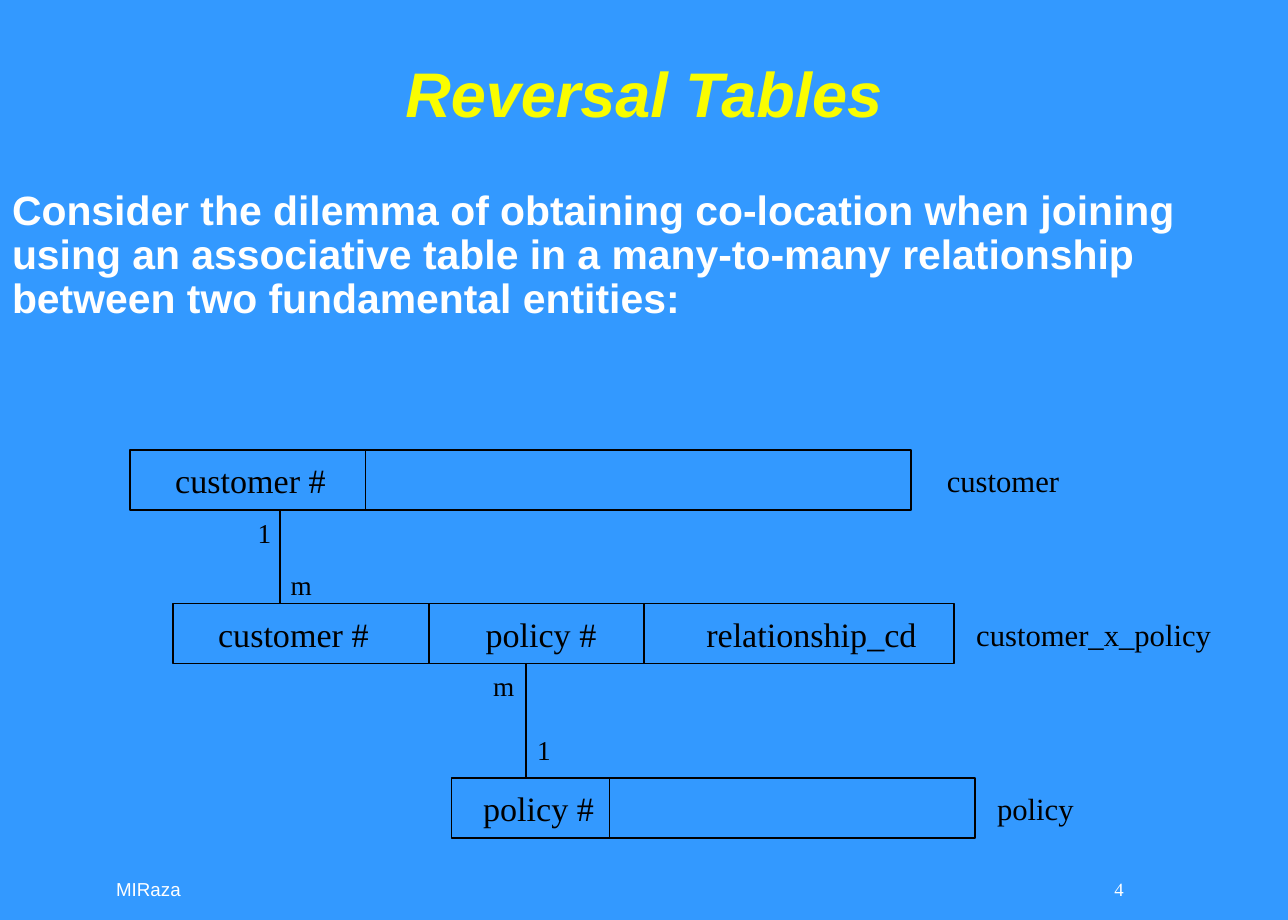
import pptx
import pptx.util
import pptx.dml.color
import pptx.enum.shapes
import pptx.enum.text
import lxml.etree

# Grid: 105 columns by 75 rows on the slide
COLS, ROWS = 105, 75
WIDE, HIGH = pptx.util.Inches(10.5), pptx.util.Inches(7.5)
SANS, SERIF = "Arial", "Times New Roman"
BLUE, WHITE, BLACK, GOLD = "3399FF", "FFFFFF", "000000", "FAFD00"
ALIGN = pptx.enum.text.PP_ALIGN
ANCHOR = pptx.enum.text.MSO_ANCHOR


def across(cols):
    return round(WIDE * cols / COLS)


def down(rows):
    return round(HIGH * rows / ROWS)


def place(box):
    left, top, width, height = box
    return across(left), down(top), across(width), down(height)


def color(code):
    return pptx.dml.color.RGBColor.from_string(code)


def write(slide, box, text, size, font=SERIF, tint=BLACK, align=ALIGN.LEFT,
          middle=False, inset=True, bold=False, slant=False):
    frame = slide.shapes.add_textbox(*place(box)).text_frame
    frame.text = text
    frame.word_wrap = True
    frame.vertical_anchor = ANCHOR.MIDDLE if middle else ANCHOR.TOP
    if not inset:
        frame.margin_left = frame.margin_right = 0
        frame.margin_top = frame.margin_bottom = 0
    line = frame.paragraphs[0]
    line.alignment = align
    face = line.runs[0].font
    face.name, face.size = font, pptx.util.Pt(size)
    face.bold, face.italic = bold, slant
    face.color.rgb = color(tint)
    return line


def rule(slide, x, top, end):
    kind = pptx.enum.shapes.MSO_CONNECTOR.STRAIGHT
    line = slide.shapes.add_connector(
        kind, across(x), down(top), across(x), down(end))
    line.line.color.rgb = color(BLACK)
    line.line.width = pptx.util.Pt(1)
    props = line._element.spPr
    lxml.etree.SubElement(props, pptx.oxml.ns.qn("a:effectLst"))


def heading(slide, box):
    line = write(slide, box, "Reversal Tables", 37, SANS, GOLD, ALIGN.CENTER,
                 middle=True, bold=True, slant=True)
    line.line_spacing = 0.9


def body(slide, box):
    line = write(slide, box, "Consider the dilemma of obtaining co-location "
                 "when joining using an associative table in a many-to-many "
                 "relationship between two fundamental entities:",
                 24, SANS, WHITE, bold=True)
    line.line_spacing = 0.9
    line.space_before = pptx.util.Pt(9)


def record(slide, box, fields, splits, name, gap, span):
    """Draw a row of fields, with the table's name to its right."""
    left, top, width, height = box
    kind = pptx.enum.shapes.MSO_SHAPE.RECTANGLE
    frame = slide.shapes.add_shape(kind, *place(box))
    frame.shadow.inherit = False
    frame.fill.background()
    frame.line.color.rgb = color(BLACK)
    frame.line.width = pptx.util.Pt(1)
    for text, shift, room in fields:
        write(slide, (left + shift, top + 0.3, room, 4.3), text, 20)
    for shift in splits:
        rule(slide, left + shift, top, top + height)
    write(slide, (left + width + gap, top + 0.5, span, 4), name, 18)


def link(slide, x, top, end, first, last, shift, lift):
    """Join two records, with a count at each end."""
    rule(slide, x, top, end)
    write(slide, (x - shift, top + 0.5, 2, 2.7), first, 16, inset=False)
    write(slide, (x + 0.9, end - lift, 2, 2.7), last, 16, inset=False)


def diagram(slide, box):
    left, top, width, height = box
    wide, tall = 63.7, 4.9
    # Three tables
    record(slide, (left, top, wide, tall), [("customer #", 2.7, 14.3)],
           [19.2], "customer", 1.9, 11.2)
    record(slide, (left + 3.5, top + 12.5, wide, tall),
           [("customer #", 2.7, 14.3), ("policy #", 24.5, 11.1),
            ("relationship_cd", 42.5, 19.3)],
           [20.9, 38.4], "customer_x_policy", 0.8, 25.6)
    record(slide, (left + 26.2, top + height - tall, 42.7, tall),
           [("policy #", 1.6, 11.1)], [12.9], "policy", 0.8, 14.2)
    # Two relationships
    link(slide, left + 12.2, top + tall, top + 12.5, "1", "m", 1.8, 2.9)
    link(slide, left + 32.3, top + 12.5 + tall, top + height - tall,
         "m", "1", 2.7, 3.6)


def footer(slide, box):
    left, top, width, height = box
    write(slide, (left, top, 10.8, height), "MIRaza", 11, SANS, WHITE,
          ALIGN.CENTER, middle=True)
    write(slide, (left + width - 11.7, top, 11.7, height), "4", 11,
          tint=WHITE, align=ALIGN.RIGHT, middle=True)


def main():
    deck = pptx.Presentation()
    deck.slide_width, deck.slide_height = WIDE, HIGH
    slide = deck.slides.add_slide(deck.slide_layouts[6])
    fill = slide.background.fill
    fill.solid()
    fill.fore_color.rgb = color(BLUE)
    heading(slide, (7.9, 1.7, 89.2, 12.5))
    body(slide, (0, 15, 98, 52.5))
    diagram(slide, (10.6, 36.7, 94, 31.6))
    footer(slide, (6.7, 70, 85.9, 5))
    deck.save("out.pptx")


if __name__ == "__main__":
    main()
